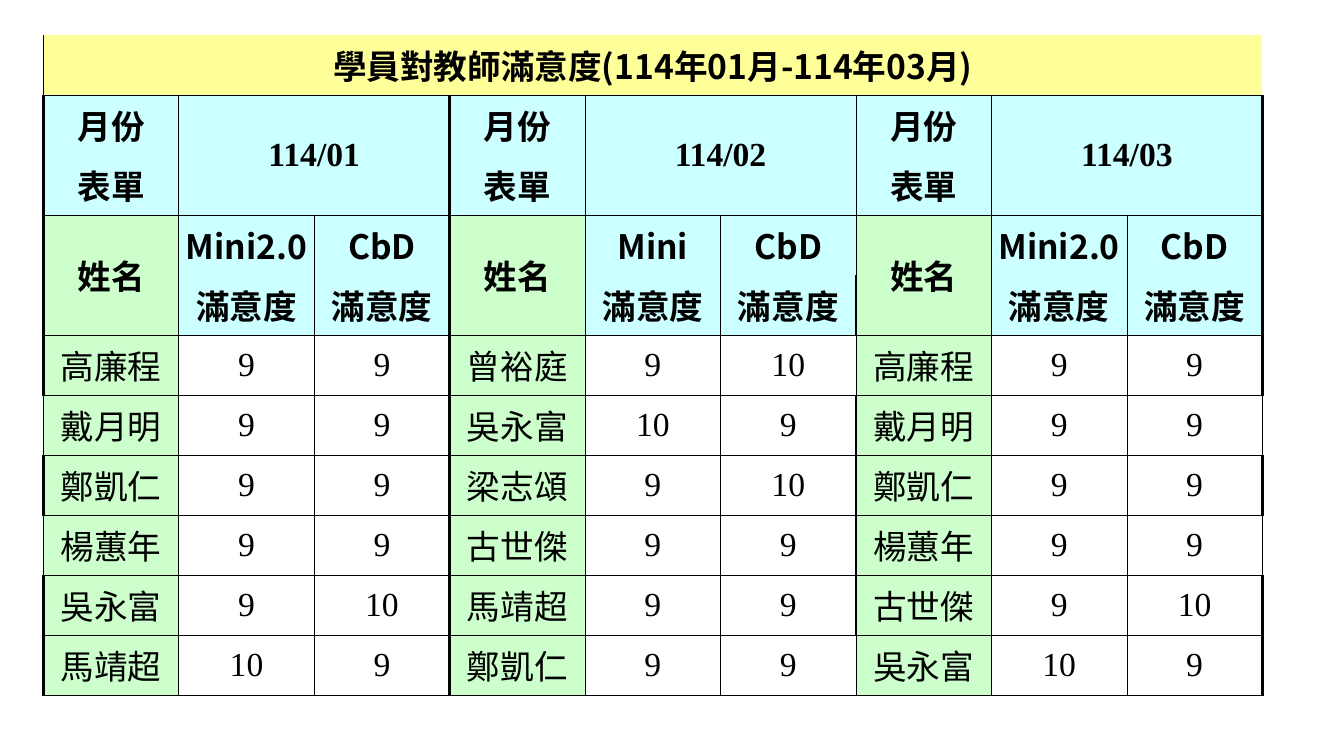
import pptx
import pptx.dml.color
import pptx.enum.text
import pptx.oxml
import pptx.oxml.ns
import pptx.util

HAN_FONT = "Noto Sans CJK SC"
NUMBER_FONT = "Times New Roman"
BLACK, YELLOW, CYAN, GREEN = "000000", "FFFF99", "CCFFFF", "CCFFCC"
THIN, MEDIUM, THICK = 0.5, 1, 2

TITLE = "學員對教師滿意度(114年01月-114年03月)"
MONTHS = [
    ("114/01", "Mini2.0", [("高廉程", 9, 9), ("戴月明", 9, 9), ("鄭凱仁", 9, 9),
                           ("楊蕙年", 9, 9), ("吳永富", 9, 10), ("馬靖超", 10, 9)]),
    ("114/02", "Mini", [("曾裕庭", 9, 10), ("吳永富", 10, 9), ("梁志頌", 9, 10),
                        ("古世傑", 9, 9), ("馬靖超", 9, 9), ("鄭凱仁", 9, 9)]),
    ("114/03", "Mini2.0", [("高廉程", 9, 9), ("戴月明", 9, 9), ("鄭凱仁", 9, 9),
                           ("楊蕙年", 9, 9), ("古世傑", 9, 10), ("吳永富", 10, 9)]),
]
HEADER_ROWS = 5
MONTH_COLUMNS = 3
ROWS = HEADER_ROWS + len(MONTHS[0][2])
COLUMNS = MONTH_COLUMNS * len(MONTHS)


def color(hex_value):
    return pptx.dml.color.RGBColor.from_string(hex_value)


def write(cell, text, font=HAN_FONT, size=24, bold=False, ink=BLACK):
    para = cell.text_frame.paragraphs[0]
    para.alignment = pptx.enum.text.PP_ALIGN.CENTER
    span = para.add_run()
    span.text = str(text)
    span.font.name = font
    span.font.size = pptx.util.Pt(size)
    span.font.bold = bold
    span.font.color.rgb = color(ink)
    east_asian = pptx.oxml.parse_xml(
        f'<a:ea {pptx.oxml.ns.nsdecls("a")} typeface="{font}"/>')
    span.font._element.find(pptx.oxml.ns.qn("a:latin")).addnext(east_asian)


def vertical_width(row, edge):
    """Width of the line at a column edge beside one row; 0 means no line."""
    if row == 0:
        return MEDIUM if edge == 0 else 0
    if row in (1, 2) and edge % MONTH_COLUMNS == 2:
        return 0
    if edge == 3:
        return THICK
    if edge == 6:
        return {4: MEDIUM, 6: MEDIUM, 7: MEDIUM, 8: MEDIUM, 9: THICK}.get(row, THIN)
    if edge in (0, COLUMNS):
        return MEDIUM if row in (6, 8) else THICK
    return THIN


def horizontal_width(edge):
    """Header lines come in stacked pairs, with no line inside a pair."""
    return 0 if edge in (0, 2, 4) else THIN


class Sheet:
    """A slide laid out on the grid of its table."""
    left, top = 0.43, 0.35
    column, row = 12.09 / COLUMNS, 6.55 / ROWS

    def __init__(self, deck):
        self.slide = deck.slides.add_slide(deck.slide_layouts[6])

    def add_grid(self, rows, columns):
        frame = self.slide.shapes.add_table(
            rows, columns, pptx.util.Inches(self.left), pptx.util.Inches(self.top),
            pptx.util.Inches(self.column * columns), pptx.util.Inches(self.row * rows))
        self.table = frame.table
        self.table.first_row = False
        self.table.horz_banding = False

    def fill_cell(self, row, column, text, fill=None, height=1, width=1, **text_format):
        cell = self.table.cell(row, column)
        if height > 1 or width > 1:
            cell.merge(self.table.cell(row + height - 1, column + width - 1))
        cell.margin_left = cell.margin_right = cell.margin_top = cell.margin_bottom = 0
        cell.vertical_anchor = pptx.enum.text.MSO_ANCHOR.MIDDLE
        write(cell, text, **text_format)
        if fill:
            cell.fill.solid()
            cell.fill.fore_color.rgb = color(fill)
        else:
            cell.fill.background()

    def draw_borders(self):
        for row in range(ROWS):
            for column in range(COLUMNS):
                cell = self.table.cell(row, column)
                widths = {
                    "lnL": vertical_width(row, column),
                    "lnR": vertical_width(row, column + cell.span_width),
                    "lnT": horizontal_width(row),
                    "lnB": horizontal_width(row + cell.span_height),
                }
                properties = cell._tc.get_or_add_tcPr()
                for position, (side, width) in enumerate(widths.items()):
                    paint = (f'<a:solidFill><a:srgbClr val="{BLACK}"/></a:solidFill>'
                             if width else "<a:noFill/>")
                    properties.insert(position, pptx.oxml.parse_xml(
                        f'<a:{side} {pptx.oxml.ns.nsdecls("a")} '
                        f'w="{pptx.util.Pt(width)}">{paint}</a:{side}>'))

    def add_month(self, first, month, mini_label, scores):
        """Fill the three columns of one month, from column first on."""
        self.fill_cell(1, first, "月份", CYAN, bold=True)
        self.fill_cell(2, first, "表單", CYAN, bold=True)
        self.fill_cell(1, first + 1, month, CYAN, height=2, width=2,
                       font=NUMBER_FONT, bold=True)
        self.fill_cell(3, first, "姓名", GREEN, height=2, bold=True)
        for column, label in enumerate((mini_label, "CbD"), first + 1):
            self.fill_cell(3, column, label, CYAN, bold=True)
            self.fill_cell(4, column, "滿意度", CYAN, bold=True)
        for row, (name, *marks) in enumerate(scores, HEADER_ROWS):
            self.fill_cell(row, first, name, GREEN)
            for column, mark in enumerate(marks, first + 1):
                self.fill_cell(row, column, mark, font=NUMBER_FONT)


def main():
    deck = pptx.Presentation()
    deck.slide_width = pptx.util.Inches(13.33)
    deck.slide_height = pptx.util.Inches(7.5)
    sheet = Sheet(deck)
    sheet.add_grid(ROWS, COLUMNS)
    sheet.fill_cell(0, 0, TITLE, YELLOW, width=COLUMNS, bold=True)
    for index, (month, mini_label, scores) in enumerate(MONTHS):
        sheet.add_month(index * MONTH_COLUMNS, month, mini_label, scores)
    sheet.draw_borders()
    deck.save("out.pptx")


if __name__ == "__main__":
    main()
